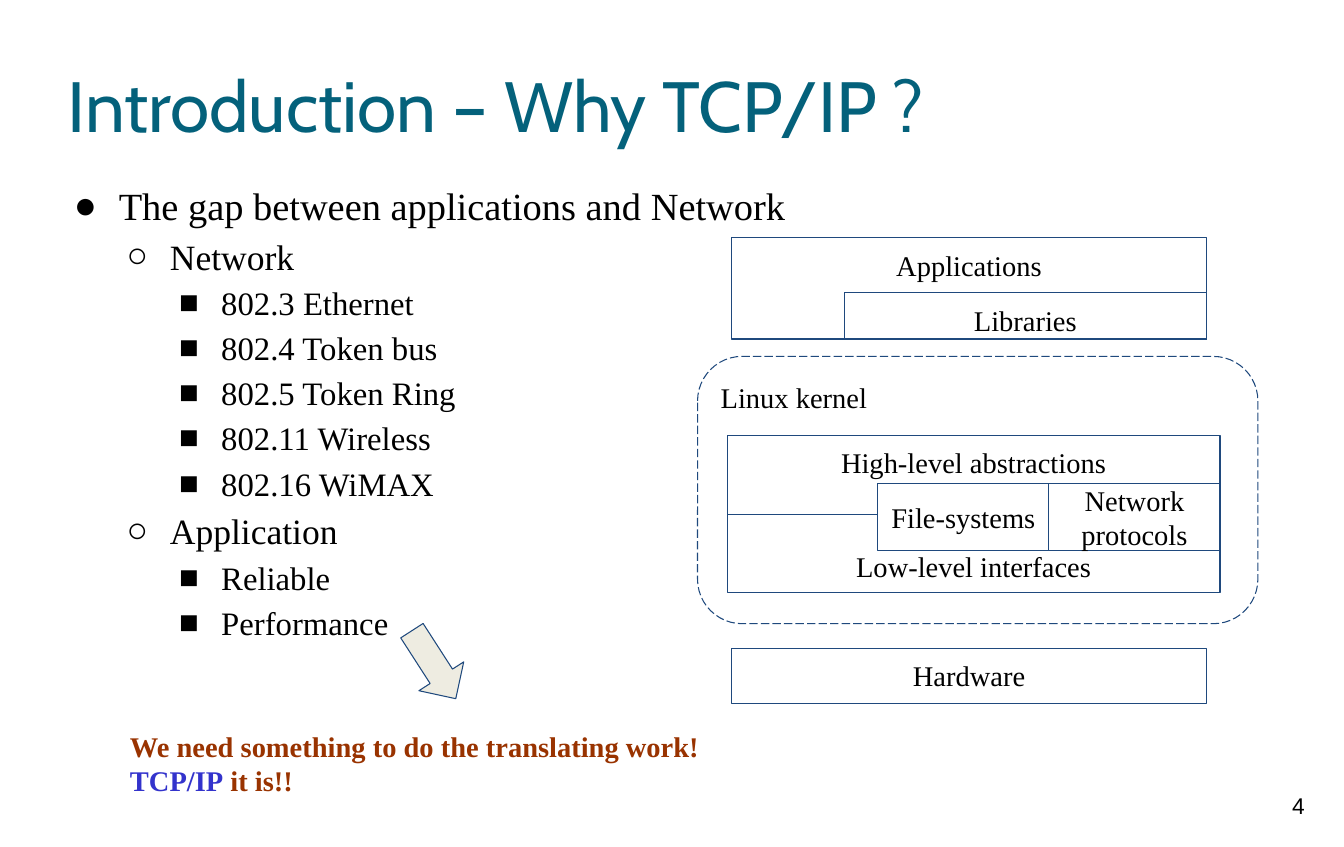
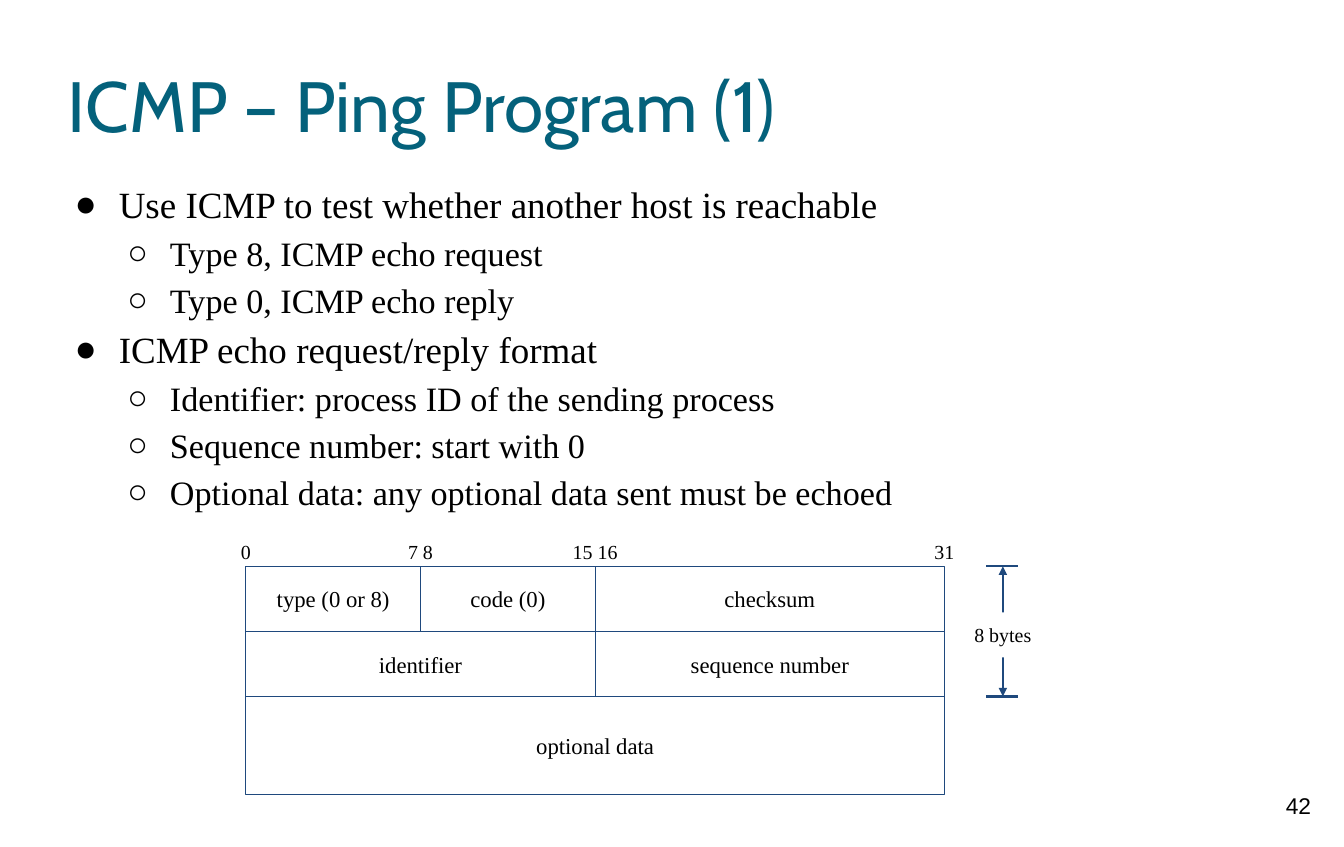
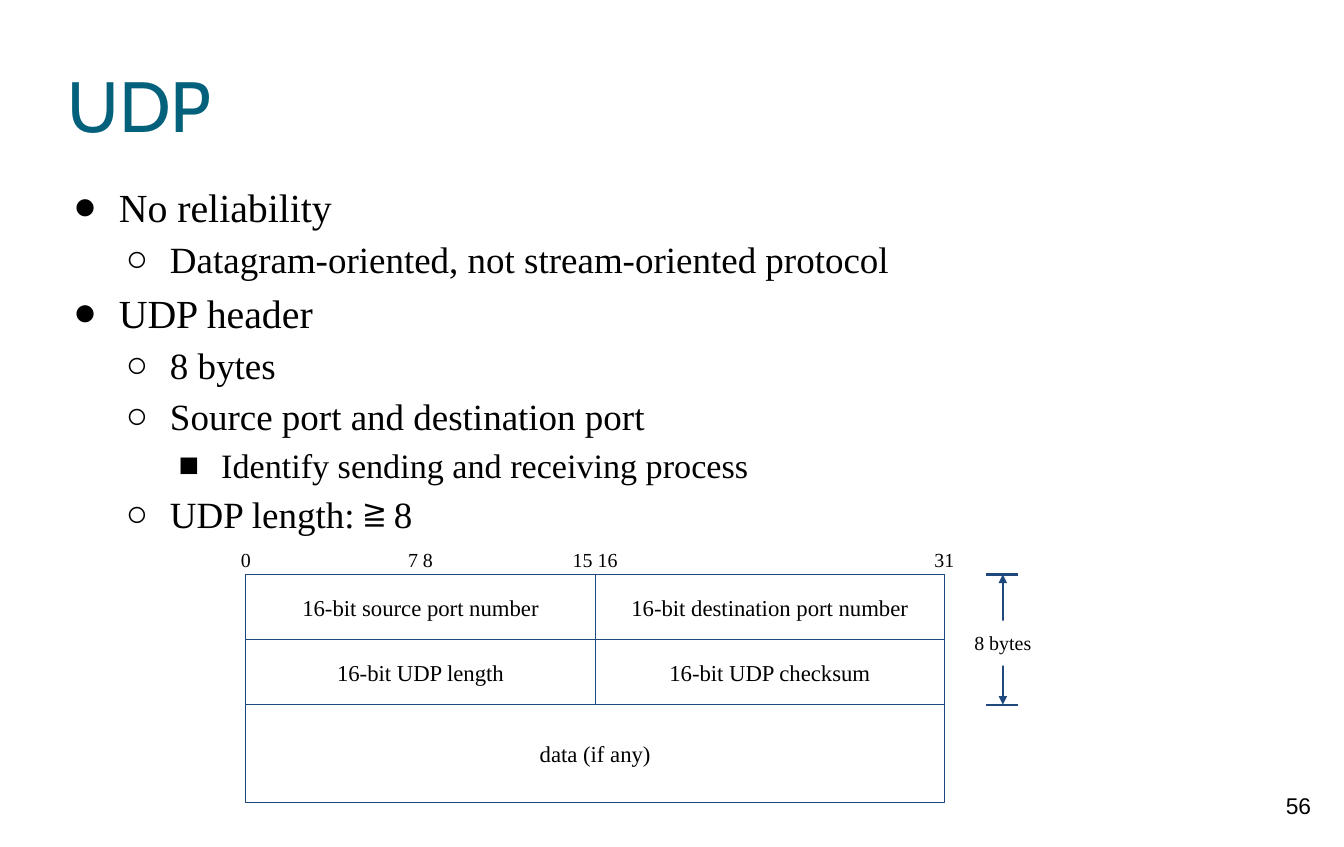
from lxml import etree
from pptx import Presentation
from pptx.dml.color import RGBColor
from pptx.enum.dml import MSO_LINE_DASH_STYLE as DASH
from pptx.enum.shapes import MSO_CONNECTOR, MSO_SHAPE as SHAPE
from pptx.enum.text import MSO_ANCHOR as ANCHOR, PP_ALIGN as ALIGN
from pptx.oxml.ns import qn
from pptx.util import Inches, Pt

BLACK, WHITE = "000000", "FFFFFF"
TEAL, NAVY, CREAM = "04617B", "1F497D", "EEECE1"
RUST, BLUE = "993300", "3333CC"
SERIF, TITLE_FONT, NUMBER_FONT = "Times New Roman", "Cabin", "Arial"
BULLETS = "●○■"
PACKET_LEFT, PACKET_WIDTH, PACKET_BITS = 2.4, 6.82, 32
HEADER_HEIGHT, DATA_HEIGHT = 1.27, 0.96
BIT_LABELS = [(0, "0"), (8, "7 8"), (16, "15 16"), (32, "31")]


def color(hex_string):
    """Return the colour for a hex string."""
    return RGBColor.from_string(hex_string)


def style_font(font, size, name=SERIF, hex_string=BLACK, bold=False):
    """Set size, typeface, colour and weight of a font."""
    font.size, font.name, font.bold = Pt(size), name, bold
    font.color.rgb = color(hex_string)


def prepare_frame(shape, inset=0.1, anchor=ANCHOR.TOP):
    """Wrap the text of a shape and set its margins and anchor."""
    frame = shape.text_frame
    frame.word_wrap = True
    frame.vertical_anchor = anchor
    frame.margin_left = frame.margin_right = Inches(inset)
    frame.margin_top = frame.margin_bottom = Inches(inset)
    return frame


def write_line(frame, text, size, name=SERIF, hex_string=BLACK, align=ALIGN.CENTER):
    """Put one paragraph of uniform text in a frame."""
    frame.text = text
    paragraph = frame.paragraphs[0]
    paragraph.alignment = align
    style_font(paragraph.runs[0].font, size, name, hex_string)


def add_text(slide, box, text, size, name=SERIF, hex_string=BLACK,
             align=ALIGN.CENTER, inset=0.1, anchor=ANCHOR.TOP):
    """Add a text box that holds one paragraph."""
    shape = slide.shapes.add_textbox(*map(Inches, box))
    write_line(prepare_frame(shape, inset, anchor), text, size, name, hex_string, align)


def add_block(slide, box, text="", size=20, fill=None, line=NAVY,
              kind=SHAPE.RECTANGLE, anchor=ANCHOR.TOP, align=ALIGN.CENTER):
    """Add an outlined shape with an optional label and fill."""
    shape = slide.shapes.add_shape(kind, *map(Inches, box))
    shape.shadow.inherit = False
    if fill:
        shape.fill.solid()
        shape.fill.fore_color.rgb = color(fill)
    else:
        shape.fill.background()
    if line:
        shape.line.color.rgb = color(line)
        shape.line.width = Pt(0.75)
    else:
        shape.line.fill.background()
    if text:
        write_line(prepare_frame(shape, anchor=anchor), text, size, align=align)
    return shape


def add_line(slide, start, end, arrows=False):
    """Add a straight line, with arrowheads at both ends on request."""
    connector = slide.shapes.add_connector(
        MSO_CONNECTOR.STRAIGHT, *map(Inches, (*start, *end)))
    connector.line.color.rgb = color(NAVY)
    connector.line.width = Pt(1.5)
    if arrows:
        outline = connector.line._get_or_add_ln()
        for tag in ("a:headEnd", "a:tailEnd"):
            etree.SubElement(outline, qn(tag), type="triangle")
    etree.SubElement(connector._element.spPr, qn("a:effectLst"))


def add_bullets(slide, items, top_size):
    """Add the body list, each level two points smaller than the one above."""
    shape = slide.shapes.add_textbox(*map(Inches, (0.66, 1.71, 11.84, 6.19)))
    frame = prepare_frame(shape, inset=0)
    frame.text = "\n".join(text for _, text in items)
    for paragraph, (level, _) in zip(frame.paragraphs, items):
        size = top_size - 2 * level
        paragraph.level = level
        paragraph.line_spacing = 1.15
        properties = paragraph._p.get_or_add_pPr()
        properties.set("marL", str(Inches(0.5 * (level + 1))))
        properties.set("indent", str(-Inches(0.25 + size / 144)))
        bullet_color = etree.SubElement(properties, qn("a:buClr"))
        etree.SubElement(bullet_color, qn("a:srgbClr"), val=BLACK)
        etree.SubElement(properties, qn("a:buFont"), typeface=SERIF)
        etree.SubElement(properties, qn("a:buChar"), char=BULLETS[level])
        style_font(paragraph.runs[0].font, size)


def add_content_slide(presentation, title, number, items, top_size):
    """Add a slide with title, slide number and bullet list."""
    slide = presentation.slides.add_slide(presentation.slide_layouts[6])
    slide.background.fill.solid()
    slide.background.fill.fore_color.rgb = color(WHITE)
    add_text(slide, (12.28, 7.63, 0.79, 0.63), str(number), 16, NUMBER_FONT)
    add_text(slide, (0.66, 0.33, 11.81, 1.38), title, 50, TITLE_FONT, TEAL,
             ALIGN.LEFT, inset=0, anchor=ANCHOR.MIDDLE)
    add_bullets(slide, items, top_size)
    return slide


def add_kernel_diagram(slide):
    """Draw the layers from applications down to hardware."""
    add_block(slide, (7.14, 2.32, 4.64, 0.99), "Applications", fill=WHITE)
    add_block(slide, (8.24, 2.86, 3.54, 0.46), "Libraries")
    kernel = add_block(slide, (6.81, 3.48, 5.47, 2.61), "Linux kernel",
                       kind=SHAPE.ROUNDED_RECTANGLE, align=ALIGN.LEFT)
    kernel.line.dash_style = DASH.LONG_DASH
    add_block(slide, (7.1, 4.25, 4.81, 0.77), "High-level abstractions")
    add_block(slide, (7.1, 5.02, 4.81, 0.77), "Low-level interfaces",
              anchor=ANCHOR.BOTTOM)
    for column, label in enumerate(("File-systems", "Network protocols")):
        add_block(slide, (8.57 + 1.67 * column, 4.72, 1.67, 0.66), label,
                  fill=WHITE, anchor=ANCHOR.MIDDLE)
    add_block(slide, (7.14, 6.33, 4.64, 0.54), "Hardware", fill=WHITE)


def add_conclusion(slide):
    """Add the arrow and the two-line conclusion."""
    arrow = add_block(slide, (3.84, 6.23, 0.79, 0.52), fill=CREAM,
                      kind=SHAPE.RIGHT_ARROW)
    arrow.rotation = 57.2
    shape = slide.shapes.add_textbox(*map(Inches, (1.17, 7.02, 6.89, 0.88)))
    frame = prepare_frame(shape)
    lines = [[("We need something to do the translating work!", RUST)],
             [("TCP/IP", BLUE), (" it is!!", RUST)]]
    for index, pieces in enumerate(lines):
        paragraph = frame.add_paragraph() if index else frame.paragraphs[0]
        for text, hex_string in pieces:
            run = paragraph.add_run()
            run.text = text
            style_font(run.font, 20, hex_string=hex_string, bold=True)


def add_packet(slide, top, header_rows, data_label):
    """Draw a packet layout whose field widths follow their bit counts."""
    bit_width = PACKET_WIDTH / PACKET_BITS
    row_height = HEADER_HEIGHT / len(header_rows)
    bottom = top + HEADER_HEIGHT
    for row, fields in enumerate(header_rows):
        left = PACKET_LEFT
        for label, bits in fields:
            box = (left, top + row * row_height, bits * bit_width, row_height)
            add_block(slide, box, label, 16, anchor=ANCHOR.MIDDLE)
            left += bits * bit_width
    add_block(slide, (PACKET_LEFT, bottom, PACKET_WIDTH, DATA_HEIGHT),
              data_label, 16, anchor=ANCHOR.MIDDLE)
    for bit, label in BIT_LABELS:
        center = PACKET_LEFT + bit * bit_width
        add_text(slide, (center - 0.33, top - 0.36, 0.66, 0.44), label, 14)
    for level in (top, bottom):
        add_line(slide, (9.63, level), (9.94, level))
    add_line(slide, (9.79, top), (9.79, bottom), arrows=True)
    add_block(slide, (9.35, top + 0.45, 0.88, 0.44), "8 bytes", 14,
              fill=WHITE, line=None)


def main():
    """Build the three slides and save them."""
    presentation = Presentation()
    presentation.slide_width = Inches(13.12)
    presentation.slide_height = Inches(8.27)

    slide = add_content_slide(presentation, "Introduction – Why TCP/IP ?", 4, [
        (0, "The gap between applications and Network"),
        (1, "Network"),
        (2, "802.3 Ethernet"),
        (2, "802.4 Token bus"),
        (2, "802.5 Token Ring"),
        (2, "802.11 Wireless"),
        (2, "802.16 WiMAX"),
        (1, "Application"),
        (2, "Reliable"),
        (2, "Performance"),
    ], 27)
    add_kernel_diagram(slide)
    add_conclusion(slide)

    slide = add_content_slide(presentation, "ICMP – Ping Program (1)", 42, [
        (0, "Use ICMP to test whether another host is reachable"),
        (1, "Type 8, ICMP echo request"),
        (1, "Type 0, ICMP echo reply"),
        (0, "ICMP echo request/reply format"),
        (1, "Identifier: process ID of the sending process"),
        (1, "Sequence number: start with 0"),
        (1, "Optional data: any optional data sent must be echoed"),
    ], 26)
    add_packet(slide, 5.53, [
        [("type (0 or 8)", 8), ("code (0)", 8), ("checksum", 16)],
        [("identifier", 16), ("sequence number", 16)],
    ], "optional data")

    slide = add_content_slide(presentation, "UDP", 56, [
        (0, "No reliability"),
        (1, "Datagram-oriented, not stream-oriented protocol"),
        (0, "UDP header"),
        (1, "8 bytes"),
        (1, "Source port and destination port"),
        (2, "Identify sending and receiving process"),
        (1, "UDP length: ≧ 8"),
    ], 28)
    add_packet(slide, 5.61, [
        [("16-bit source port number", 16), ("16-bit destination port number", 16)],
        [("16-bit UDP length", 16), ("16-bit UDP checksum", 16)],
    ], "data (if any)")

    presentation.save("out.pptx")


if __name__ == "__main__":
    main()
